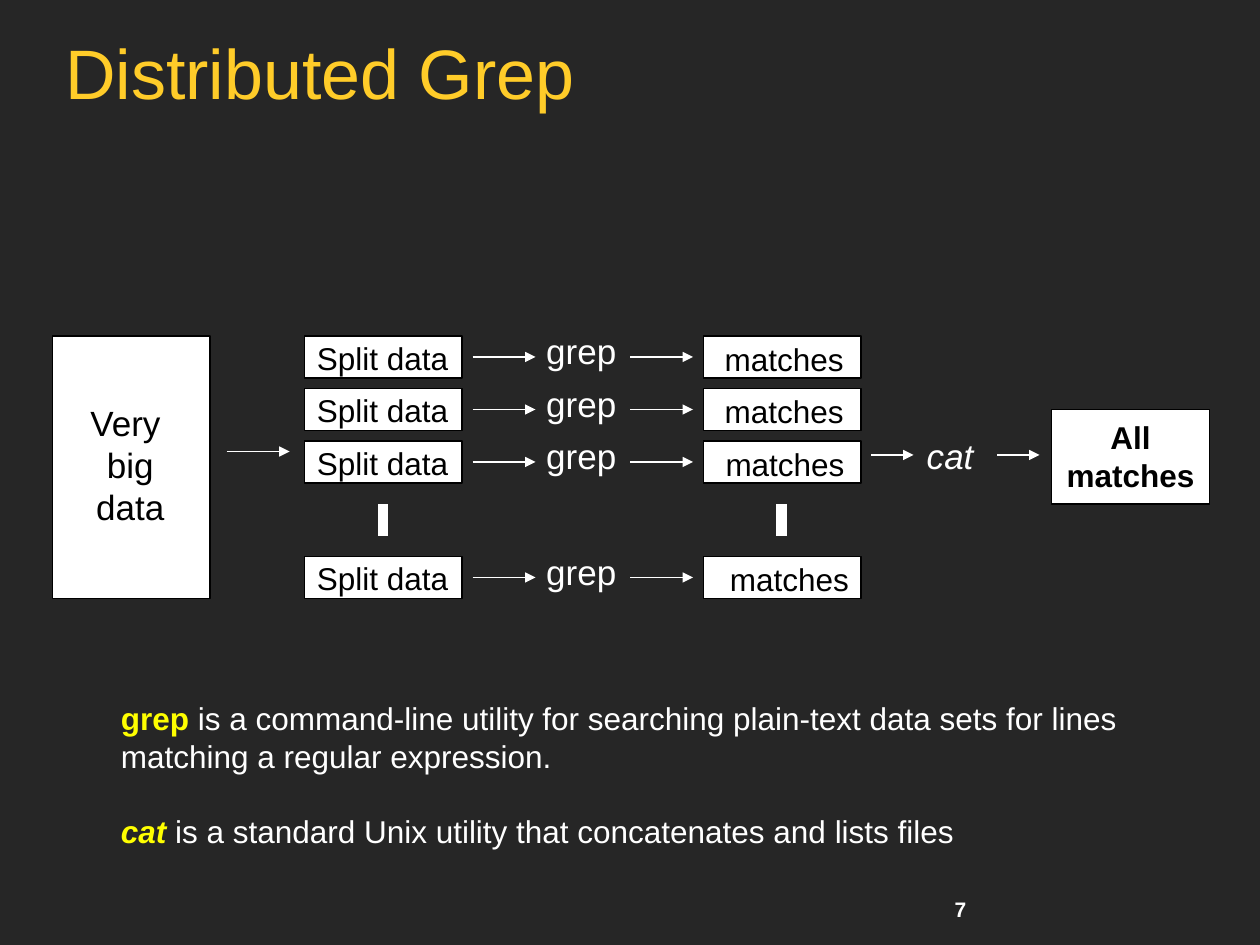
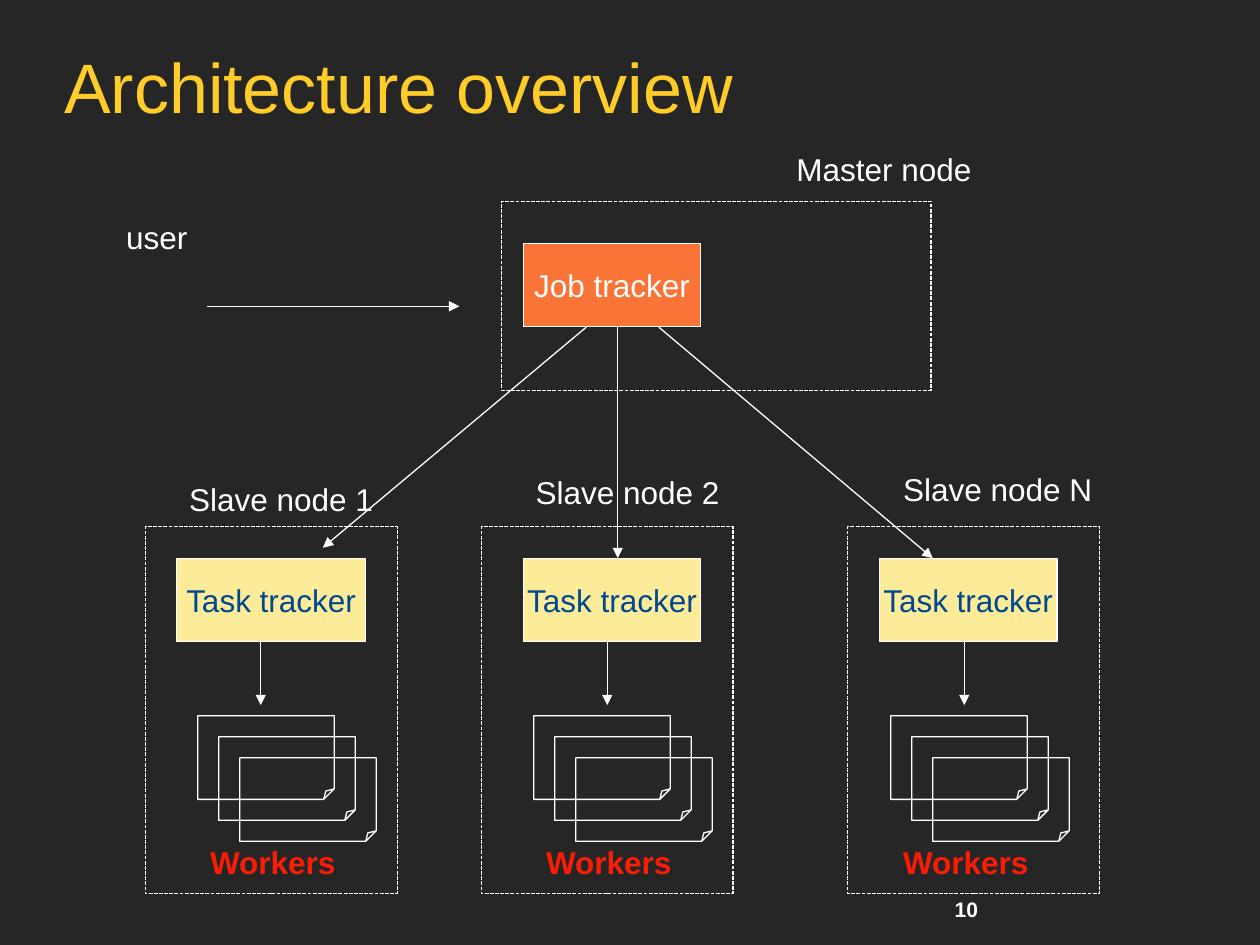
"""Build two slides: a distributed grep pipeline and a tracker architecture."""
from lxml import etree
from pptx import Presentation
from pptx.dml.color import RGBColor
from pptx.enum.dml import MSO_LINE
from pptx.enum.shapes import MSO_CONNECTOR, MSO_SHAPE
from pptx.enum.text import MSO_ANCHOR, MSO_AUTO_SIZE, PP_ALIGN
from pptx.oxml.ns import qn
from pptx.util import Pt

RECT = MSO_SHAPE.RECTANGLE
FOLD = MSO_SHAPE.FOLDED_CORNER
LINE = MSO_CONNECTOR.STRAIGHT
DASH = MSO_LINE.SQUARE_DOT
LEFT, MID = PP_ALIGN.LEFT, PP_ALIGN.CENTER
TOP, CORE = MSO_ANCHOR.TOP, MSO_ANCHOR.MIDDLE
FIXED = MSO_AUTO_SIZE.NONE
FONT = "Arial"
DARK, GOLD, WHITE, BLACK = "262626", "FFCC29", "FFFFFF", "000000"
YELLOW, ORANGE, CREAM = "FFFF00", "FA7438", "FCEB98"
NAVY, RED = "00478E", "FA1D06"


def tint(hue):
    return RGBColor.from_string(hue)


class Deck:
    def __init__(self):
        self.prs = Presentation()
        self.prs.slide_width, self.prs.slide_height = Pt(720), Pt(540)
        back = self.prs.slide_master.background.fill
        back.solid()
        back.fore_color.rgb = tint(DARK)

    def page(self, title, number, left, top):
        layout = self.prs.slide_layouts[5]
        self.slide = self.prs.slides.add_slide(layout)
        head = self.slide.shapes.title
        head.left, head.top = Pt(left), Pt(top)
        head.width, head.height = Pt(661), Pt(55.5)
        self.fill_text(head.text_frame, [[self.run(title, GOLD, 40)]],
                       LEFT, CORE, True)
        head.text_frame.paragraphs[0].line_spacing = 0.9
        self.label(str(number), 538.5, 509, 41, 21.5, size=12, bold=True,
                   wrap=True)

    def run(self, text, hue=WHITE, size=18, bold=False, italic=False):
        return text, hue, size, bold, italic

    def fill_text(self, frame, lines, align, anchor, wrap, gap=0):
        frame.word_wrap = wrap
        frame.auto_size = FIXED
        frame.vertical_anchor = anchor
        for i, runs in enumerate(lines):
            para = frame.add_paragraph() if i else frame.paragraphs[0]
            para.alignment = align
            para.space_before = Pt(gap if i else 0)
            for text, hue, size, bold, italic in runs:
                part = para.add_run()
                part.text = text
                font = part.font
                font.name, font.size = FONT, Pt(size)
                font.bold, font.italic = bold, italic
                font.color.rgb = tint(hue)

    def text(self, lines, x, y, w, h, align=LEFT, wrap=False, gap=0):
        box = self.slide.shapes.add_textbox(Pt(x), Pt(y), Pt(w), Pt(h))
        self.fill_text(box.text_frame, lines, align, TOP, wrap, gap)

    def label(self, words, x, y, w, h=29, hue=WHITE, size=18, bold=False,
              italic=False, align=LEFT, wrap=False):
        lines = [[self.run(line, hue, size, bold, italic)]
                 for line in words.split("\n")]
        self.text(lines, x, y, w, h, align, wrap)

    def shape(self, x, y, w, h, fill=None, edge=WHITE, kind=RECT, dash=None):
        form = self.slide.shapes.add_shape(kind, Pt(x), Pt(y), Pt(w), Pt(h))
        form.shadow.inherit = False
        if fill:
            form.fill.solid()
            form.fill.fore_color.rgb = tint(fill)
        else:
            form.fill.background()
        form.line.color.rgb = tint(edge)
        form.line.width = Pt(0.75)
        if dash:
            form.line.dash_style = dash
        return form

    def sheet(self, x, y):
        form = self.shape(x, y, 78, 47.75, kind=FOLD)
        guides = form.element.spPr.find(".//" + qn("a:avLst"))
        etree.SubElement(guides, qn("a:gd"), name="adj", fmla="val 12500")

    def card(self, x, y, w, h):
        self.shape(x, y, w, h, WHITE, BLACK)

    def block(self, words, x, y, w, fill, hue):
        form = self.shape(x, y, w, 47.75, fill)
        self.fill_text(form.text_frame, [[self.run(words, hue)]],
                       MID, CORE, False)

    def line(self, x1, y1, x2, y2, width=0.75, arrow=True):
        link = self.slide.shapes.add_connector(
            LINE, Pt(x1), Pt(y1), Pt(x2), Pt(y2))
        link.line.color.rgb = tint(WHITE)
        link.line.width = Pt(width)
        if arrow:
            tip = etree.SubElement(link.get_or_add_ln(), qn("a:tailEnd"))
            tip.set("type", "triangle")
        etree.SubElement(link.element.spPr, qn("a:effectLst"))


def grep(deck):
    deck.page("Distributed Grep", 7, 30, 16)
    deck.card(30, 192, 90, 150)
    deck.label("Very \nbig\ndata", 44, 226, 61, 79, BLACK, 20, align=MID)
    deck.line(129.5, 258, 165.5, 258, 1)

    for y, shift in ((192, 0), (222, 0), (252, 0.5), (318, 3)):
        deck.card(174, y, 90, 24)
        deck.label("Split data", 174, y - 2, 89.5, hue=BLACK)
        deck.label("grep", 305, y - 7, 54, 31.5, size=20)
        deck.card(402, y, 90, 24)
        deck.label("matches", 407 + shift, y - 1.5, 82, hue=BLACK)
        for x in (270, 360):
            deck.line(x, y + 12, x + 36, y + 12, 1)
    for x in (219, 446.5):
        deck.line(x, 288, x, 306, 6, False)

    deck.label("cat", 522.5, 245, 41, 31.5, size=20, italic=True)
    for x in (498, 570):
        deck.line(x, 260, x + 24, 260, 1)
    deck.card(601, 234, 90, 54)
    deck.label("All\nmatches", 602.5, 235.5, 87, 50.5, BLACK, bold=True,
               align=MID)
    deck.text([
        [deck.run("grep", YELLOW, bold=True),
         deck.run(" is a command-line utility for searching plain-text data "
                  "sets for lines matching a regular expression.")],
        [deck.run("cat ", YELLOW, bold=True, italic=True),
         deck.run("is a standard Unix utility that concatenates and lists "
                  "files")],
    ], 62, 396, 584, 115, wrap=True, gap=21.5)


def trackers(deck):
    deck.page("Architecture overview", 10, 29.5, 24)
    deck.block("Job tracker", 299, 139, 101.5, ORANGE, WHITE)
    deck.shape(286.5, 115, 245.5, 108, dash=DASH)
    deck.label("Master node", 448, 82, 114.5)
    deck.label("user", 65, 121, 49)
    deck.line(118.5, 175, 262.5, 175)

    nodes = (
        ("1", 83, 101, 108, 101, 271, 113, 149),
        ("2", 275, 299, 101.5, 299, 266.5, 305, 347),
        ("N", 484.5, 502.5, 101.5, 509, 265, 509, 551),
    )
    for name, frame, task, wide, x, y, pile, stem in nodes:
        deck.block("Task tracker", task, 319, wide, CREAM, NAVY)
        deck.shape(frame, 301, 144, 209.5, dash=DASH)
        deck.label(f"Slave node {name}", x, y, 120)
        deck.line(stem, 367, stem, 403)
        for i in range(3):
            deck.sheet(pile + 12 * i, 409 + 12 * i)
        deck.label("Workers", pile, 478, 86.5, hue=RED, bold=True)

    for x, end, y in ((335, 184.5, 313), (353, 353, 319), (376.5, 533, 319)):
        deck.line(x, 187, end, y)


def main():
    deck = Deck()
    grep(deck)
    trackers(deck)
    deck.prs.save("out.pptx")


if __name__ == "__main__":
    main()
